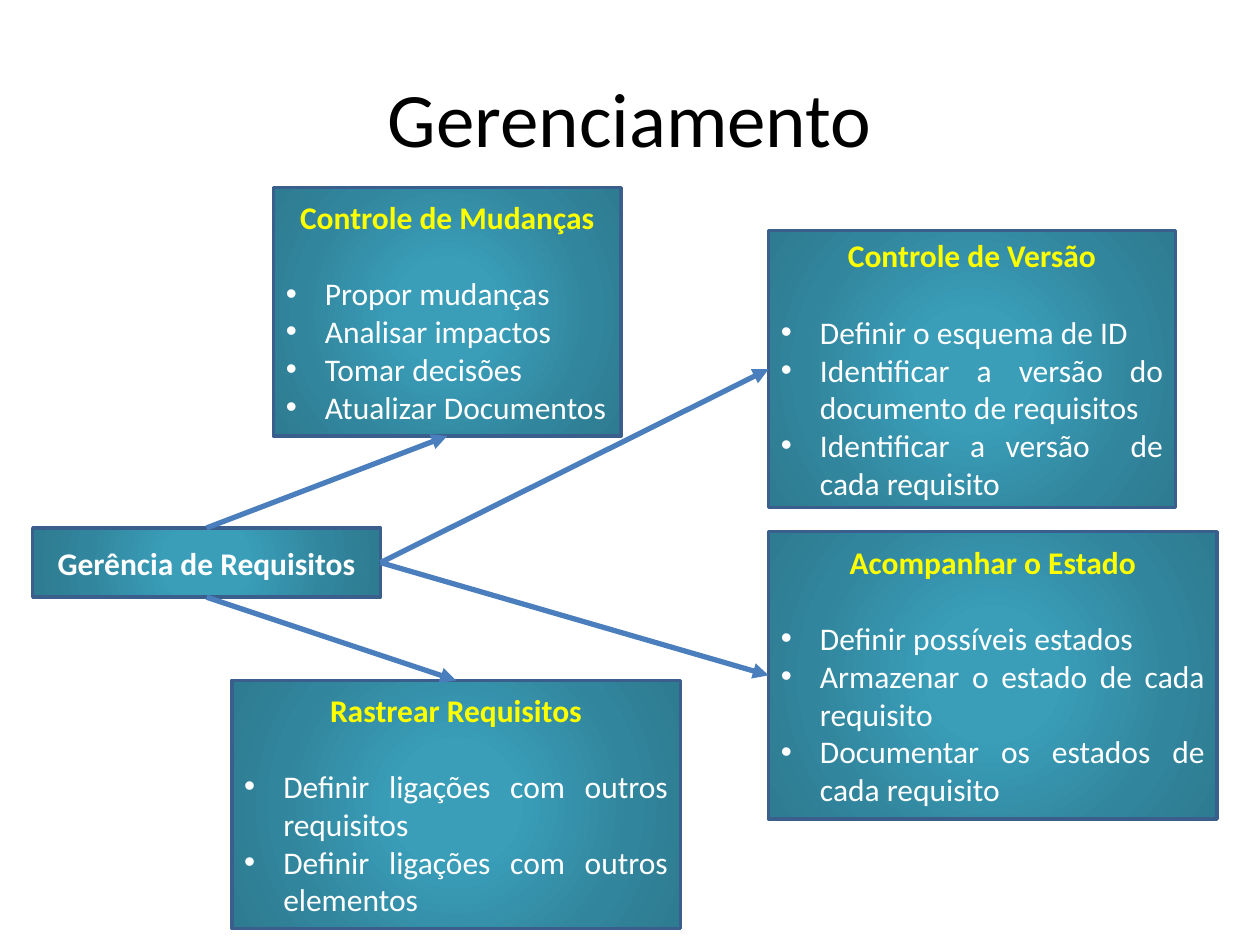
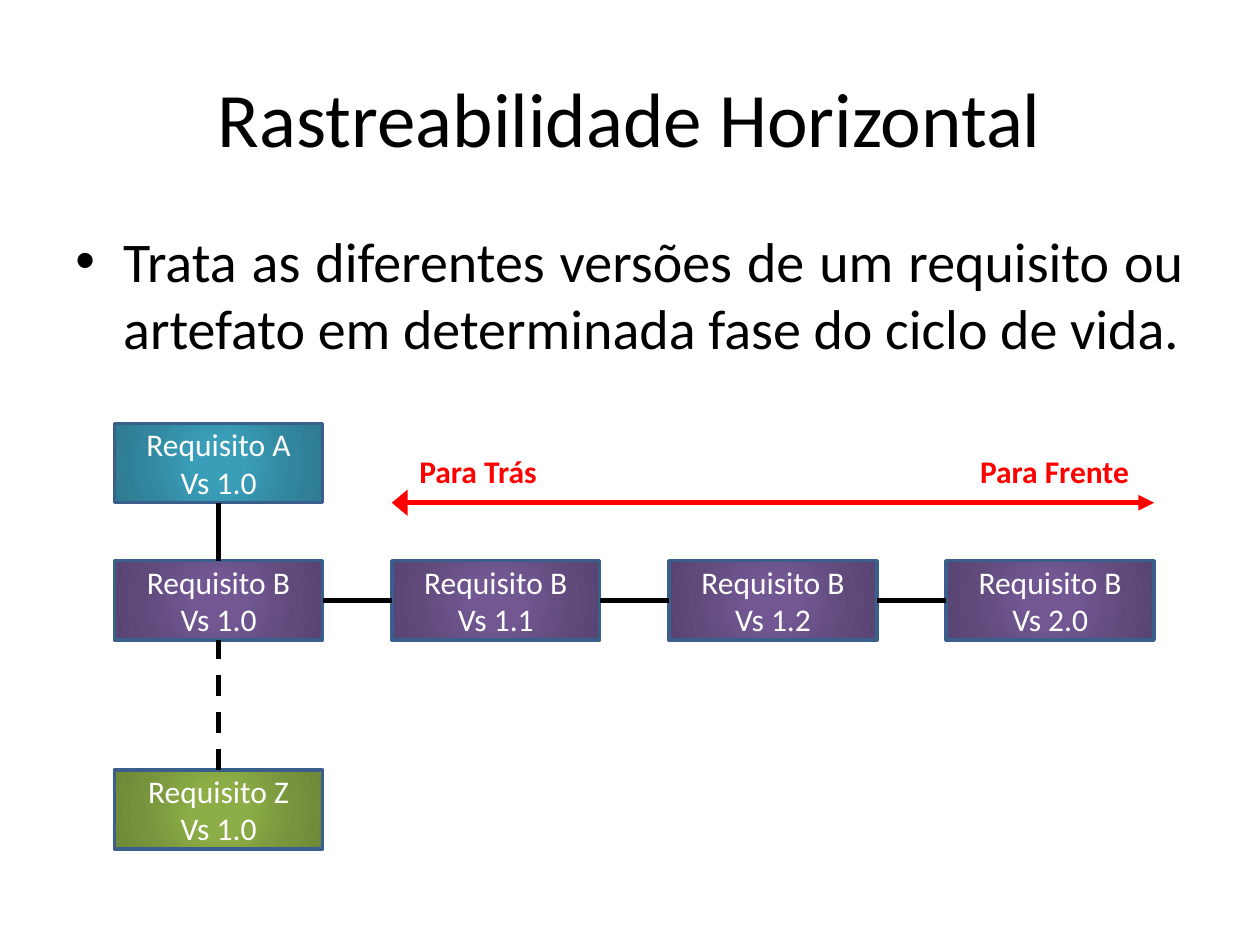
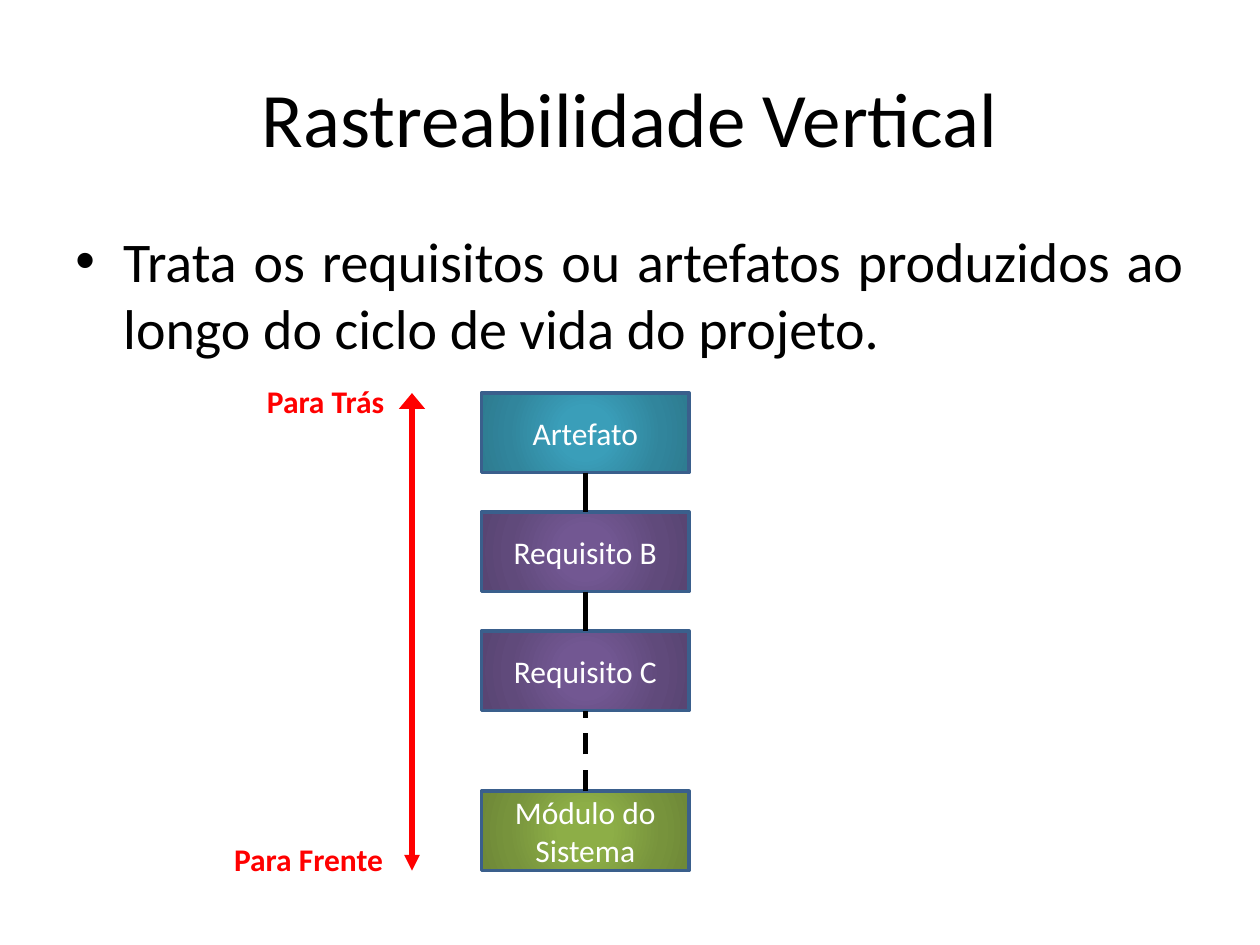
from collections import namedtuple
from itertools import pairwise

from lxml import etree
from pptx import Presentation
from pptx.dml.color import RGBColor
from pptx.enum.dml import MSO_LINE
from pptx.enum.shapes import MSO_CONNECTOR, MSO_SHAPE
from pptx.enum.text import MSO_ANCHOR, MSO_AUTO_SIZE, PP_ALIGN
from pptx.oxml import parse_xml
from pptx.oxml.ns import nsdecls, qn
from pptx.util import Inches, Pt

Box = namedtuple("Box", "left top width height")

# Shared look
FONT = "Calibri"
BLACK, WHITE, RED, YELLOW = "000000", "FFFFFF", "FF0000", "FFFF00"
BORDER, ARROW = "3A5F8C", "4B7EBC"
TEAL = ("3A9EB9", "31859C", "2E7C91")
PURPLE = ("725792", "604A7B", "594573")
GREEN = ("8DAE47", "77933C", "6F8938")
TITLE_BOX = Box(0.5, 0.3, 9, 1.25)
BODY_BOX = Box(0.5, 1.75, 9, 4.95)
NODE_WIDTH, NODE_HEIGHT = 1.65, 0.63
TOP, LEFT, BOTTOM, RIGHT = range(4)


def rgb(color):
    return RGBColor.from_string(color)


def inches(values):
    return [Inches(value) for value in values]


# Text
def add_para(frame, text, size=18, color=WHITE, bold=False, align=PP_ALIGN.CENTER):
    first = frame.paragraphs[0]
    para = frame.add_paragraph() if first.runs else first
    para.alignment = align
    span = para.add_run()
    span.text = text
    span.font.name = FONT
    span.font.size = Pt(size)
    span.font.bold = bold
    span.font.color.rgb = rgb(color)
    return para


def add_bullet(para, indent):
    props = para._p.get_or_add_pPr()
    props.set("marL", str(Inches(indent)))
    props.set("indent", str(-Inches(indent)))
    etree.SubElement(props, qn("a:buFont")).set("typeface", "Arial")
    etree.SubElement(props, qn("a:buChar")).set("char", "•")


def add_text_frame(page, box, wrap=True):
    frame = page.shapes.add_textbox(*inches(box)).text_frame
    frame.word_wrap = wrap
    return frame


def add_label(page, box, text, wrap=True):
    frame = add_text_frame(page, box, wrap)
    frame.auto_size = MSO_AUTO_SIZE.SHAPE_TO_FIT_TEXT
    add_para(frame, text, color=RED, bold=True, align=PP_ALIGN.LEFT)


def add_title(page, text):
    frame = add_text_frame(page, TITLE_BOX)
    frame.vertical_anchor = MSO_ANCHOR.MIDDLE
    add_para(frame, text, size=44, color=BLACK)


def add_body(page, text):
    frame = add_text_frame(page, BODY_BOX)
    para = add_para(frame, text, size=32, color=BLACK, align=PP_ALIGN.JUSTIFY)
    para.space_before = Pt(6.4)
    add_bullet(para, 0.38)


# Boxes with a radial gradient
def fill_radial(shape, colors):
    inner, middle, outer = colors
    stops = ((0, inner), (23, inner), (69, middle), (97, outer))
    stop_xml = "".join(
        f'<a:gs pos="{percent * 1000}"><a:srgbClr val="{color}"/></a:gs>'
        for percent, color in stops)
    shape.fill.solid()
    props = shape._element.spPr
    props.replace(props.find(qn("a:solidFill")), parse_xml(
        f'<a:gradFill {nsdecls("a")} rotWithShape="1"><a:gsLst>{stop_xml}</a:gsLst>'
        '<a:path path="circle"><a:fillToRect l="50000" t="50000" r="50000" b="50000"/>'
        '</a:path></a:gradFill>'))


def add_panel(page, box, colors):
    panel = page.shapes.add_shape(MSO_SHAPE.RECTANGLE, *inches(box))
    panel.shadow.inherit = False
    fill_radial(panel, colors)
    panel.line.color.rgb = rgb(BORDER)
    panel.line.width = Pt(2)
    panel.text_frame.word_wrap = True
    panel.text_frame.vertical_anchor = MSO_ANCHOR.MIDDLE
    return panel


def add_node(page, left, top, colors, *lines):
    node = add_panel(page, Box(left, top, NODE_WIDTH, NODE_HEIGHT), colors)
    for line in lines:
        add_para(node.text_frame, line)
    return node


def add_activity(page, box, heading, items):
    panel = add_panel(page, box, TEAL)
    para = add_para(panel.text_frame, heading, color=YELLOW, bold=True)
    para.space_after = Pt(22)
    for item in items:
        add_bullet(add_para(panel.text_frame, item, align=PP_ALIGN.JUSTIFY), 0.31)
    return panel


# Lines
def add_line(page, color, ends=(0, 0, 0, 0), dashed=False, head=None, tail=None):
    line = page.shapes.add_connector(MSO_CONNECTOR.STRAIGHT, *inches(ends))
    line.line.color.rgb = rgb(color)
    line.line.width = Pt(3)
    if dashed:
        line.line.dash_style = MSO_LINE.DASH
    outline = line.line._get_or_add_ln()
    for tag, width in (("a:headEnd", head), ("a:tailEnd", tail)):
        if width:
            tip = etree.SubElement(outline, qn(tag))
            tip.set("type", "triangle")
            tip.set("w", width)
            tip.set("len", "med")
    etree.SubElement(line._element.spPr, qn("a:effectLst"))
    return line


def join(page, start, start_side, end, end_side, color=BLACK, **style):
    line = add_line(page, color, **style)
    line.begin_connect(start, start_side)
    line.end_connect(end, end_side)


def add_direction(page, *ends):
    add_line(page, RED, ends, head="lg", tail="med")


# Slides
def build_management(page):
    add_title(page, "Gerenciamento")
    hub = add_panel(page, Box(0.26, 4.19, 2.76, 0.55), TEAL)
    add_para(hub.text_frame, "Gerência de Requisitos", bold=True)

    # Box, heading, items, side of the hub, side of the activity
    activities = (
        (Box(2.17, 1.49, 2.76, 1.97), "Controle de Mudanças",
         ("Propor mudanças", "Analisar impactos", "Tomar decisões",
          "Atualizar Documentos"), TOP, BOTTOM),
        (Box(6.1, 1.83, 3.23, 2.2), "Controle de Versão",
         ("Definir o esquema de ID",
          "Identificar a versão do documento de requisitos",
          "Identificar a versão  de cada requisito"), RIGHT, LEFT),
        (Box(6.1, 4.22, 3.56, 2.28), "Acompanhar o Estado",
         ("Definir possíveis estados", "Armazenar o estado de cada requisito",
          "Documentar os estados de cada requisito"), RIGHT, LEFT),
        (Box(1.84, 5.4, 3.56, 1.97), "Rastrear Requisitos",
         ("Definir ligações com outros requisitos",
          "Definir ligações com outros elementos"), BOTTOM, TOP),
    )
    panels = [add_activity(page, *activity[:3]) for activity in activities]
    for panel, (*_, hub_side, panel_side) in zip(panels, activities):
        join(page, hub, hub_side, panel, panel_side, ARROW, tail="med")


def build_horizontal(page):
    add_title(page, "Rastreabilidade Horizontal")
    add_body(page, "Trata as diferentes versões de um requisito ou artefato em "
                   "determinada fase do ciclo de vida.")
    left, row, step = 0.91, 4.45, 2.2

    # Requirements down, versions of B across
    first = add_node(page, left, 3.36, TEAL, "Requisito A", "Vs 1.0")
    last = add_node(page, left, 6.11, GREEN, "Requisito Z", "Vs 1.0")
    versions = [
        add_node(page, left + column * step, row, PURPLE, "Requisito B", f"Vs {version}")
        for column, version in enumerate(("1.0", "1.1", "1.2", "2.0"))]
    join(page, first, BOTTOM, versions[0], TOP)
    join(page, last, TOP, versions[0], BOTTOM, dashed=True)
    for older, newer in pairwise(versions):
        join(page, newer, LEFT, older, RIGHT)

    # Direction of tracing
    add_direction(page, left + step, 3.99, left + 3 * step + NODE_WIDTH, 3.99)
    add_label(page, Box(3.23, 3.54, 1.14, 0.4), "Para Trás", wrap=False)
    add_label(page, Box(7.68, 3.54, 1.46, 0.4), "Para Frente")


def build_vertical(page):
    add_title(page, "Rastreabilidade Vertical")
    add_body(page, "Trata os requisitos ou artefatos produzidos ao longo do ciclo "
                   "de vida do projeto.")
    left, top, step, module_top = 3.82, 3.12, 0.945, 6.28

    # Chain from artefact to module
    chain = [
        add_node(page, left, top + row * step, colors, text)
        for row, (text, colors) in enumerate((
            ("Artefato", TEAL), ("Requisito B", PURPLE), ("Requisito C", PURPLE)))]
    module = add_node(page, left, module_top, GREEN, "Módulo do Sistema")
    for upper, lower in pairwise(chain):
        join(page, upper, BOTTOM, lower, TOP)
    join(page, module, TOP, chain[-1], BOTTOM, dashed=True)

    # Direction of tracing
    add_direction(page, 3.27, top, 3.27, module_top + NODE_HEIGHT)
    add_label(page, Box(2.02, 2.98, 1.14, 0.37), "Para Trás", wrap=False)
    add_label(page, Box(1.76, 6.62, 1.46, 0.4), "Para Frente")


def main():
    deck = Presentation()
    deck.slide_width, deck.slide_height = Inches(10), Inches(7.5)
    blank = deck.slide_layouts[6]
    for build in (build_management, build_horizontal, build_vertical):
        build(deck.slides.add_slide(blank))
    deck.save("out.pptx")


if __name__ == "__main__":
    main()
